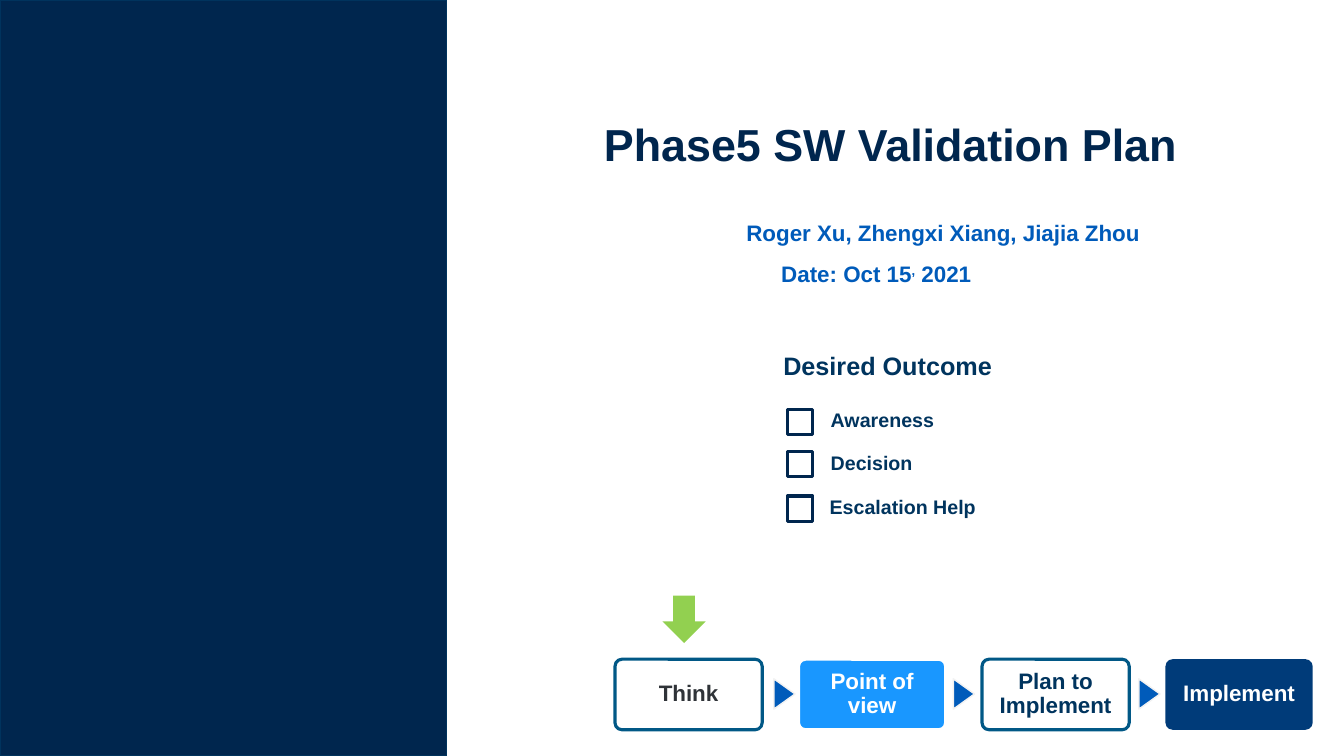
from pptx import Presentation
from pptx.dml.color import RGBColor
from pptx.enum.shapes import MSO_SHAPE as Preset
from pptx.enum.text import MSO_ANCHOR as Anchor, MSO_AUTO_SIZE as AutoSize, PP_ALIGN as Align
from pptx.util import Inches, Pt

NAVY, INK, BLUE, TEAL, WHITE = "00264E", "00345E", "005BBA", "015886", "FFFFFF"


def add_shape(preset, left, top, width, height, fill=None, line=None, weight=1):
    shape = slide.shapes.add_shape(
        preset, Inches(left), Inches(top), Inches(width), Inches(height))
    shape.shadow.inherit = False
    for part, color in ((shape.fill, fill), (shape.line.fill, line)):
        if color:
            part.solid()
            part.fore_color.rgb = RGBColor.from_string(color)
        else:
            part.background()
    if line:
        shape.line.width = Pt(weight)
    return shape


def write(shape, text, size, color, align=Align.LEFT, inset=0.1, spacing=1.0):
    """Fill a shape with one bold, vertically centred paragraph and return it."""
    frame = shape.text_frame
    frame.word_wrap = True
    frame.auto_size = AutoSize.NONE
    frame.vertical_anchor = Anchor.MIDDLE
    frame.margin_left = frame.margin_right = Inches(inset)
    frame.margin_top = frame.margin_bottom = Inches(0.05)
    paragraph = frame.paragraphs[0]
    paragraph.text = text
    paragraph.alignment = align
    paragraph.line_spacing = spacing
    for run in paragraph.runs:
        run.font.name = "Arial"
        run.font.size = Pt(size)
        run.font.bold = True
        run.font.color.rgb = RGBColor.from_string(color)
    return paragraph


presentation = Presentation()
presentation.slide_width = Inches(13.33)
presentation.slide_height = Inches(7.5)
slide = presentation.slides.add_slide(presentation.slide_layouts[5])

add_shape(Preset.RECTANGLE, 0, 0, 4.43, 7.5, fill=NAVY, line="00335D")

title = slide.shapes.title
title.left, title.top = Inches(5.89), Inches(0.83)
title.width, title.height = Inches(7.44), Inches(1.18)
write(title, "Phase5 SW Validation Plan", 32, NAVY)

# Process steps, with a triangle between neighbours
steps = [
    ("Think", "2F3338", None, TEAL),
    ("Point of view", WHITE, "1997FF", WHITE),
    ("Plan to Implement", INK, None, TEAL),
    ("Implement", WHITE, "003B79", None),
]
for index, (label, color, fill, line) in enumerate(steps):
    step = add_shape(Preset.ROUNDED_RECTANGLE, 6.1 + 1.82 * index, 6.54, 1.46, 0.7,
                     fill, line, weight=2.25)
    step.adjustments[0] = 0.1
    write(step, label, 16, color, align=Align.CENTER, inset=0.09, spacing=0.9)
for left in (7.63, 9.41, 11.25):
    triangle = add_shape(Preset.ISOSCELES_TRIANGLE, left, 6.78, 0.3, 0.21,
                         fill=BLUE, line="F2F2F2")
    triangle.rotation = 90
add_shape(Preset.DOWN_ARROW, 6.57, 5.91, 0.43, 0.47, fill="92D050")

# Checkboxes
for top in (4.06, 4.48, 4.92):
    add_shape(Preset.RECTANGLE, 7.81, top, 0.25, 0.25, line=NAVY, weight=2.25)

# Text lines: text, left, top, width, size, color, alignment
lines = [
    ("Roger Xu, Zhengxi Xiang, Jiajia Zhou", 7.2, 1.99, 4.31, 16, BLUE, Align.CENTER),
    ("Desired Outcome", 7.67, 3.31, 3.42, 18, INK, Align.LEFT),
    ("Awareness", 8.14, 3.84, 1.99, 14, INK, Align.LEFT),
    ("Decision", 8.14, 4.27, 1.99, 14, INK, Align.LEFT),
    ("Escalation Help", 8.13, 4.71, 2.42, 14, INK, Align.LEFT),
    ("Date: Oct 15", 7.65, 2.39, 3.42, 16, BLUE, Align.LEFT),
]
for text, left, top, width, size, color, align in lines:
    box = slide.shapes.add_textbox(Inches(left), Inches(top), Inches(width), Inches(0.64))
    paragraph = write(box, text, size, color, align)

# The date comes last: its comma is raised
for text, baseline in ((",", "30000"), (" 2021", "0")):
    run = paragraph.add_run()
    run.text = text
    run.font.name = "Arial"
    run.font.size = Pt(16)
    run.font.bold = True
    run.font.color.rgb = RGBColor.from_string(BLUE)
    run.font._element.set("baseline", baseline)

presentation.save("out.pptx")
